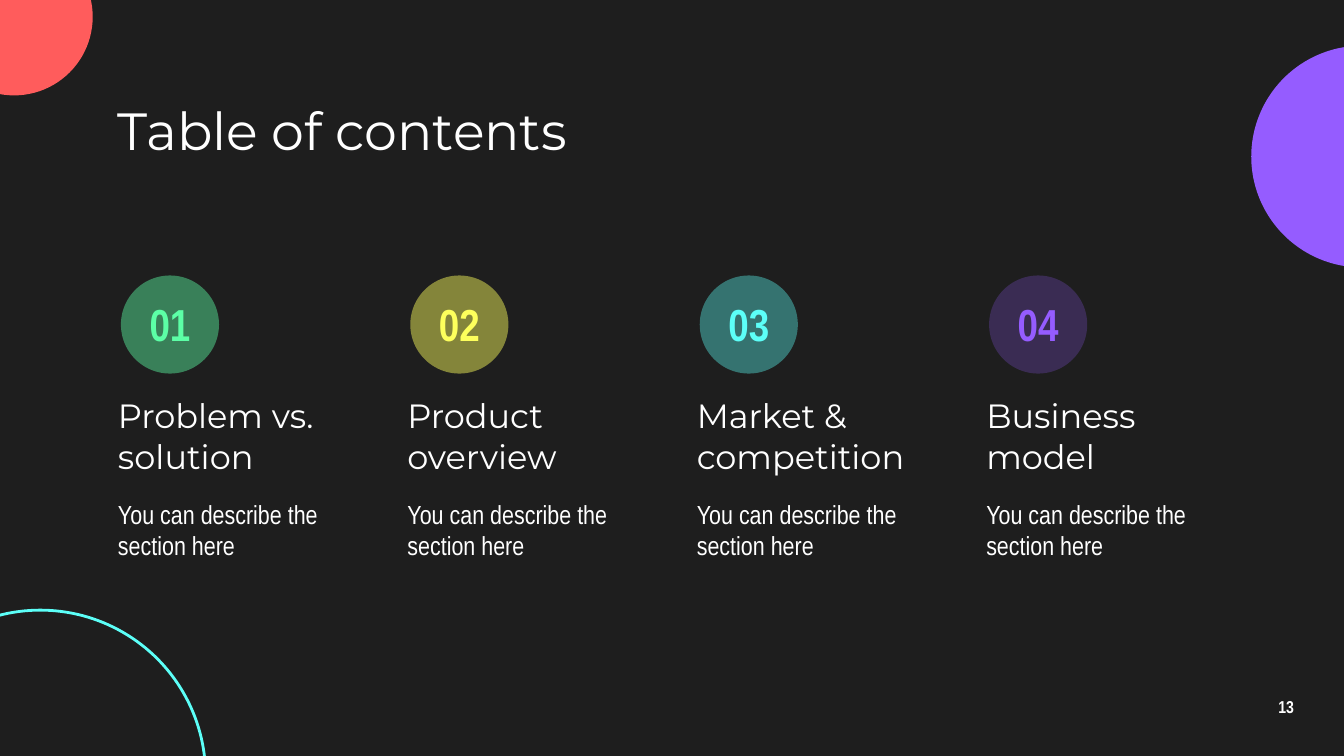
from dataclasses import dataclass

from lxml import etree
from pptx import Presentation
from pptx.dml.color import RGBColor
from pptx.enum.shapes import MSO_SHAPE
from pptx.enum.text import MSO_ANCHOR, PP_ALIGN
from pptx.oxml.ns import qn
from pptx.util import Inches, Pt

OVAL = MSO_SHAPE.OVAL
MIDDLE = MSO_ANCHOR.MIDDLE
LEFT, CENTER = PP_ALIGN.LEFT, PP_ALIGN.CENTER


@dataclass(frozen=True)
class Theme:
    back: str = "1E1E1E"
    white: str = "FFFFFF"
    red: str = "FF5C5C"
    violet: str = "955CFF"
    cyan: str = "5CFFF8"
    green: str = "5CFFA6"
    yellow: str = "FDFF5C"
    head: str = "Montserrat"
    body: str = "Arial Narrow"
    title: float = 28
    number: float = 24
    topic: float = 18
    detail: float = 14
    page: float = 9.2


class Deck:
    def __init__(self, theme):
        self.theme = theme
        self.show = Presentation()
        self.show.slide_width = Inches(10)
        self.show.slide_height = Inches(10) * 9 // 16
        self.slide = self.show.slides.add_slide(self.show.slide_layouts[6])
        fill = self.slide.background.fill
        fill.solid()
        fill.fore_color.rgb = RGBColor.from_string(theme.back)

    def circle(self, left, top, size, color, alpha=100):
        """Add a filled circle; alpha is its opacity in percent."""
        disc = self.outline(left, top, size)
        disc.line.fill.background()
        disc.fill.solid()
        disc.fill.fore_color.rgb = RGBColor.from_string(color)
        if alpha < 100:
            tint = disc.fill._xPr.find(".//" + qn("a:srgbClr"))
            etree.SubElement(tint, qn("a:alpha"), val=str(alpha * 1000))

    def outline(self, left, top, size, color=None, width=1.5):
        """Add an unfilled circle."""
        ring = self.slide.shapes.add_shape(
            OVAL, Inches(left), Inches(top), Inches(size), Inches(size))
        ring.shadow.inherit = False
        ring.fill.background()
        if color:
            ring.line.color.rgb = RGBColor.from_string(color)
            ring.line.width = Pt(width)
        return ring

    def text(self, words, box, size, font, color=None, bold=False,
             align=LEFT, space=1.0):
        """Add a wrapped text box, centred vertically."""
        frame = self.slide.shapes.add_textbox(*map(Inches, box)).text_frame
        pad = Inches(0.1)
        layout = {"word_wrap": True, "vertical_anchor": MIDDLE,
                  "margin_left": pad, "margin_right": pad,
                  "margin_top": pad, "margin_bottom": pad}
        para = frame.paragraphs[0]
        run = para.add_run()
        run.text = words
        style = {"size": Pt(size), "name": font, "bold": bold}
        lines = {"alignment": align, "line_spacing": space}
        for part, values in ((frame, layout), (para, lines), (run.font, style)):
            for key, value in values.items():
                setattr(part, key, value)
        run.font.color.rgb = RGBColor.from_string(color or self.theme.white)


def main():
    theme = Theme()
    deck = Deck(theme)

    # Corner circles
    deck.circle(9.31, 0.34, 1.65, theme.violet)
    deck.circle(-0.48, -0.46, 1.17, theme.red)
    deck.outline(-0.93, 4.54, 2.46, theme.cyan)

    # Title
    first = 0.78
    deck.text("Table of contents", (first, 0.71, 8.44, 0.51),
              theme.title, theme.head)

    # Four sections in equal columns
    topics = (
        ("Problem vs. solution", theme.green, 44),
        ("Product overview", theme.yellow, 46),
        ("Market & competition", theme.cyan, 38),
        ("Business model", theme.violet, 24),
    )
    pitch = (7.24 - first) / (len(topics) - 1)
    wide, disc = 1.97, 0.73
    for index, (topic, color, alpha) in enumerate(topics):
        left = first + index * pitch
        badge = left + 0.12
        deck.circle(badge, 2.05, disc, color, alpha)
        deck.text(f"{index + 1:02}", (badge, 2.16, disc, 0.5), theme.number,
                  theme.body, color, bold=True, align=CENTER)
        deck.text(topic, (left, 2.94, wide, 0.6), theme.topic, theme.head)
        deck.text("You can describe the section here",
                  (left, 3.64, wide, 0.6), theme.detail, theme.body)

    # Page number
    deck.text("13", (9.27, 5.1, 0.6, 0.34), theme.page, theme.body,
              bold=True, align=CENTER, space=0.9)

    deck.show.save("out.pptx")


if __name__ == "__main__":
    main()
